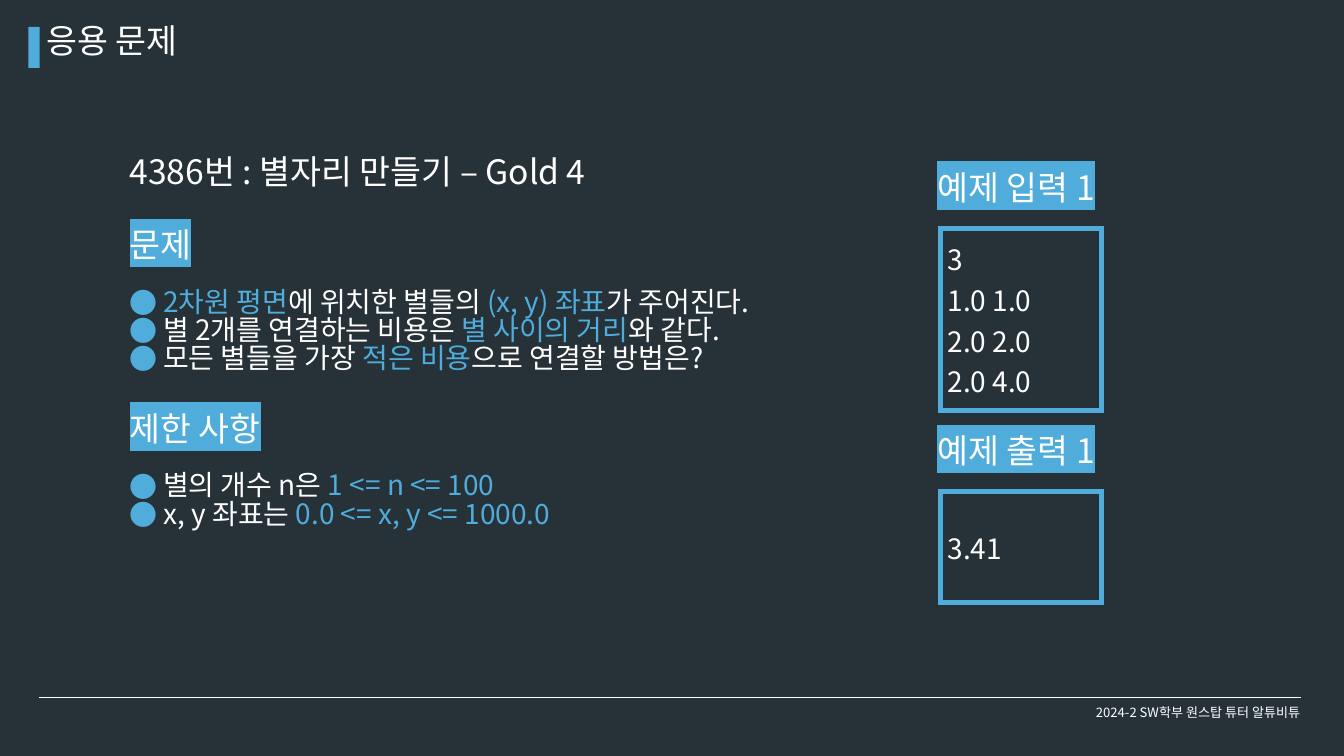
import dataclasses

import lxml.etree
import pptx
import pptx.dml.color
import pptx.enum.shapes
import pptx.enum.text
import pptx.oxml.ns
import pptx.shapes.autoshape
import pptx.slide
import pptx.text.text
import pptx.util

Cm = pptx.util.Cm
qn = pptx.oxml.ns.qn

FONT = "Noto Sans CJK KR"
BACKGROUND, ACCENT, WHITE = "263238", "4FACDB", "FFFFFF"
HEADING_SIZE, BODY_SIZE, FOOTER_SIZE = 36, 30, 14
HEADING_HEIGHT = 1.8
LINE_SPACING = 0.84
CONTENT_LEFT, EXAMPLE_LEFT = 4.65, 35.18


@dataclasses.dataclass
class Box:
    left: float
    top: float
    width: float
    height: float

    def lengths(self) -> list[pptx.util.Length]:
        return [Cm(value) for value in dataclasses.astuple(self)]


@dataclasses.dataclass
class Section:
    heading: str
    top: float
    width: float
    height: float
    points: list[str]  # parts between bars take the accent colour


@dataclasses.dataclass
class Example:
    heading: str
    top: float
    height: float
    lines: list[str]


SECTIONS = [
    Section("문제", 8.59, 36.83, 4.11, [
        "|2차원 평면|에 위치한 별들의 |(x, y) 좌표|가 주어진다.",
        "별 2개를 연결하는 비용은 |별 사이의 거리|와 같다.",
        "모든 별들을 가장 |적은 비용|으로 연결할 방법은?",
    ]),
    Section("제한 사항", 15.54, 29.21, 2.82, [
        "별의 개수 n은 |1 <= n <= 100|",
        "x, y 좌표는 |0.0 <= x, y <= 1000.0|",
    ]),
]
EXAMPLES = [
    Example("예제 입력 1", 6.43, 6.88, ["3", "1.0 1.0", "2.0 2.0", "2.0 4.0"]),
    Example("예제 출력 1", 16.38, 4.17, ["3.41"]),
]


def rgb(value: str) -> pptx.dml.color.RGBColor:
    return pptx.dml.color.RGBColor.from_string(value)


def add_color(parent: lxml.etree._Element, tag: str, color: str) -> lxml.etree._Element:
    holder = lxml.etree.SubElement(parent, qn(tag))
    lxml.etree.SubElement(holder, qn("a:srgbClr"), val=color)
    return holder


def add_run(paragraph: pptx.text.text._Paragraph, text: str, size: int,
            color: str = WHITE, highlight: str = "") -> None:
    run = paragraph.add_run()
    run.text = text
    run.font.color.rgb = rgb(color)
    properties = run.font._element
    if highlight:
        add_color(properties, "a:highlight", highlight)
    for name, value in {"size": pptx.util.Pt(size), "name": FONT}.items():
        setattr(run.font, name, value)
    lxml.etree.SubElement(properties, qn("a:ea"), typeface=FONT)


def add_text_frame(slide: pptx.slide.Slide, box: Box) -> pptx.text.text.TextFrame:
    frame = slide.shapes.add_textbox(*box.lengths()).text_frame
    frame.word_wrap = True
    return frame


def add_heading(slide: pptx.slide.Slide, text: str, left: float, top: float,
                width: float, highlight: str = "") -> None:
    frame = add_text_frame(slide, Box(left, top, width, HEADING_HEIGHT))
    paragraph = frame.paragraphs[0]
    paragraph.line_spacing = LINE_SPACING
    add_run(paragraph, text, HEADING_SIZE, highlight=highlight)


def add_bullet(paragraph: pptx.text.text._Paragraph) -> None:
    properties = paragraph._p.get_or_add_pPr()
    for name, indent in {"marL": Cm(1.27), "indent": Cm(-1.27)}.items():
        properties.set(name, str(indent))
    add_color(properties, "a:buClr", ACCENT)
    lxml.etree.SubElement(properties, qn("a:buFont"), typeface=FONT)
    lxml.etree.SubElement(properties, qn("a:buChar"), char="●")


def add_section(slide: pptx.slide.Slide, section: Section) -> None:
    add_heading(slide, section.heading, CONTENT_LEFT, section.top, 9.09, ACCENT)
    frame = add_text_frame(
        slide, Box(CONTENT_LEFT, section.top + 2.23, section.width, section.height))
    for index, point in enumerate(section.points):
        paragraph = frame.add_paragraph() if index else frame.paragraphs[0]
        paragraph.line_spacing = LINE_SPACING
        add_bullet(paragraph)
        for part_index, part in enumerate(point.split("|")):
            if part:
                add_run(paragraph, part, BODY_SIZE, ACCENT if part_index % 2 else WHITE)


def add_example(slide: pptx.slide.Slide, example: Example) -> None:
    add_heading(slide, example.heading, EXAMPLE_LEFT, example.top, 9.09, ACCENT)
    box = Box(EXAMPLE_LEFT + 0.38, example.top + 2.21, 6.07, example.height)
    table = slide.shapes.add_table(1, 1, *box.lengths()).table
    for name in ("first_row", "horz_banding"):
        setattr(table, name, False)
    cell = table.cell(0, 0)
    cell.vertical_anchor = pptx.enum.text.MSO_ANCHOR.MIDDLE

    # Borders come before the fill in the cell properties
    properties = cell._tc.get_or_add_tcPr()
    for side in ("L", "R", "T", "B"):
        border = lxml.etree.SubElement(
            properties, qn(f"a:ln{side}"), w=str(pptx.util.Pt(6)))
        add_color(border, "a:solidFill", ACCENT)
    cell.fill.background()

    for index, line in enumerate(example.lines):
        frame = cell.text_frame
        paragraph = frame.add_paragraph() if index else frame.paragraphs[0]
        add_run(paragraph, line, BODY_SIZE)


def add_frame(slide: pptx.slide.Slide) -> None:
    # Footer rule
    rule = slide.shapes.add_connector(
        pptx.enum.shapes.MSO_CONNECTOR.STRAIGHT,
        Cm(1.47), Cm(26.37), Cm(49.17), Cm(26.37))
    rule.line.color.rgb = rgb(WHITE)
    rule.line.width = pptx.util.Pt(0.75)
    lxml.etree.SubElement(rule._element.spPr, qn("a:effectLst"))

    # Title marker
    marker = slide.shapes.add_shape(
        pptx.enum.shapes.MSO_SHAPE.RECTANGLE, *Box(1.07, 1.02, 0.43, 1.55).lengths())
    marker.shadow.inherit = False
    marker.fill.solid()
    marker.fill.fore_color.rgb = rgb(ACCENT)
    marker.line.fill.background()


def add_footer(slide: pptx.slide.Slide, text: str) -> None:
    frame = add_text_frame(slide, Box(40.21, 26.19, 10.16, 1.45))
    frame.vertical_anchor = pptx.enum.text.MSO_ANCHOR.MIDDLE
    paragraph = frame.paragraphs[0]
    paragraph.alignment = pptx.enum.text.PP_ALIGN.CENTER
    add_run(paragraph, text, FOOTER_SIZE)


def main() -> None:
    deck = pptx.Presentation()
    for name, length in {"slide_width": Cm(50.8), "slide_height": Cm(28.575)}.items():
        setattr(deck, name, length)
    slide = deck.slides.add_slide(deck.slide_layouts[6])
    slide.background.fill.solid()
    slide.background.fill.fore_color.rgb = rgb(BACKGROUND)

    add_frame(slide)
    add_heading(slide, "응용 문제", 1.5, 0.89, 24.13)

    # Problem statement and limits
    add_heading(slide, "4386번 : 별자리 만들기 – Gold 4", CONTENT_LEFT, 5.82, 24.13)
    for section in SECTIONS:
        add_section(slide, section)

    # Sample input and output
    for example in EXAMPLES:
        add_example(slide, example)

    add_footer(slide, "2024-2 SW학부 원스탑 튜터 알튜비튜")
    deck.save("out.pptx")


if __name__ == "__main__":
    main()
